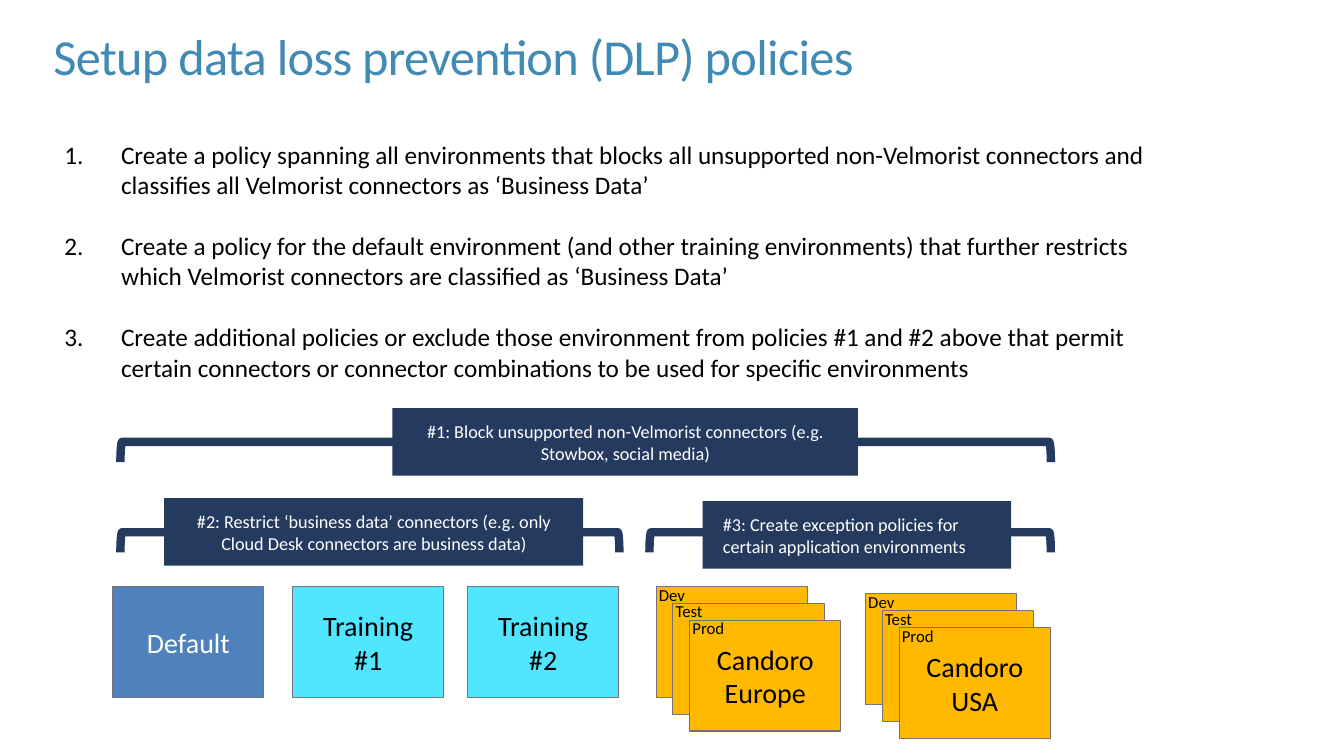
from dataclasses import dataclass

import pptx
import pptx.dml.color
import pptx.enum.shapes
import pptx.enum.text
import pptx.oxml
import pptx.oxml.ns
import pptx.shapes.autoshape
import pptx.slide
import pptx.text.text
import pptx.util

Pt = pptx.util.Pt
RGBColor = pptx.dml.color.RGBColor
Shapes = pptx.enum.shapes.MSO_SHAPE
Align = pptx.enum.text.PP_ALIGN
Anchor = pptx.enum.text.MSO_ANCHOR

FONT = "Calibri"
BLACK = RGBColor(0x00, 0x00, 0x00)
WHITE = RGBColor(0xFF, 0xFF, 0xFF)
TITLE_BLUE = RGBColor(0x41, 0x8A, 0xB3)
NAVY = RGBColor(0x24, 0x3A, 0x5E)
BLUE = RGBColor(0x4F, 0x81, 0xBD)
CYAN = RGBColor(0x50, 0xE6, 0xFF)
AMBER = RGBColor(0xFF, 0xB9, 0x00)
GRAY = RGBColor(0x73, 0x73, 0x73)

CARD_WIDTH, CARD_HEIGHT, CARD_TOP = 108, 79.2, 419
STACK_STEP = 12
STAGES = ("Dev", "Test", "Prod")
LABEL_SHIFT = 5.2
BRACKET_DEPTH = 14.4
POLICY_HEIGHT = 48.2
INDENT = 40.5


@dataclass(frozen=True)
class Environment:
    name: str
    left: float
    fill: RGBColor
    color: RGBColor


@dataclass(frozen=True)
class Stack:
    name: str
    left: float
    top: float


@dataclass(frozen=True)
class Policy:
    text: str
    left: float
    top: float
    width: float
    bracket_left: float
    bracket_top: float
    bracket_width: float
    alignment: Align = Align.CENTER


STEPS = (
    "Create a policy spanning all environments that blocks all unsupported non-Velmorist "
    "connectors and classifies all Velmorist connectors as ‘Business Data’",
    "Create a policy for the default environment (and other training environments) that "
    "further restricts which Velmorist connectors are classified as ‘Business Data’",
    "Create additional policies or exclude those environment from policies #1 and #2 above "
    "that permit certain connectors or connector combinations to be used for specific environments",
)
ENVIRONMENTS = (
    Environment("Default", 80.6, BLUE, WHITE),
    Environment("Training #1", 209, CYAN, BLACK),
    Environment("Training #2", 334, CYAN, BLACK),
)
STACKS = (
    Stack("Candoro Europe", 468.7, CARD_TOP),
    Stack("Candoro USA", 618.3, 424.3),
)
POLICIES = (
    Policy("#1: Block unsupported non-Velmorist connectors (e.g. Stowbox, social media)",
           280.3, 291.6, 332.6, 86, 315.7, 664.6),
    Policy("#2: Restrict ‘business data’ connectors (e.g. only Cloud Desk connectors "
           "are business data)",
           117.3, 355.8, 299.3, 86, 380.2, 356.4),
    Policy("#3: Create exception policies for certain application environments",
           502, 358, 220.3, 463.9, 380.2, 286.7, Align.LEFT),
)


def format_paragraph(paragraph: pptx.text.text._Paragraph, size: float, color: RGBColor,
                     alignment: Align = Align.LEFT) -> None:
    paragraph.alignment = alignment
    paragraph.font.name = FONT
    paragraph.font.size = Pt(size)
    paragraph.font.color.rgb = color


def clear_margins(frame: pptx.text.text.TextFrame) -> None:
    frame.margin_left = frame.margin_right = frame.margin_top = frame.margin_bottom = 0


def add_title(slide: pptx.slide.Slide) -> None:
    title = slide.shapes.title
    title.left, title.top, title.width, title.height = Pt(38.2), Pt(18), Pt(889), Pt(44)
    frame = title.text_frame
    frame.text = "Setup data loss prevention (DLP) policies"
    frame.vertical_anchor = Anchor.TOP
    frame.auto_size = pptx.enum.text.MSO_AUTO_SIZE.NONE
    clear_margins(frame)
    paragraph = frame.paragraphs[0]
    format_paragraph(paragraph, 36, TITLE_BLUE)
    paragraph.runs[0].font._element.set("spc", "-50")


def add_steps(slide: pptx.slide.Slide) -> None:
    frame = slide.shapes.add_textbox(Pt(46), Pt(99.4), Pt(776), Pt(174)).text_frame
    frame.word_wrap = True
    clear_margins(frame)
    for index, step in enumerate(STEPS):
        paragraph = frame.paragraphs[0] if index == 0 else frame.add_paragraph()
        paragraph.text = step
        if index:
            paragraph.space_before = Pt(22)
        properties = paragraph._p.get_or_add_pPr()
        properties.set("marL", str(Pt(INDENT)))
        properties.set("indent", str(-Pt(INDENT)))
        number = pptx.oxml.parse_xml(
            f'<a:buAutoNum {pptx.oxml.ns.nsdecls("a")} type="arabicPeriod"/>')
        properties.append(number)
        format_paragraph(paragraph, 18, BLACK)


def add_box(slide: pptx.slide.Slide, left: float, top: float, width: float, height: float,
            fill: RGBColor, outline: RGBColor | None = None) -> pptx.shapes.autoshape.Shape:
    box = slide.shapes.add_shape(Shapes.RECTANGLE, Pt(left), Pt(top), Pt(width), Pt(height))
    box.shadow.inherit = False
    box.fill.solid()
    box.fill.fore_color.rgb = fill
    if outline is None:
        box.line.fill.background()
    else:
        box.line.color.rgb = outline
        box.line.width = Pt(0.75)
    return box


def write_in_box(box: pptx.shapes.autoshape.Shape, text: str, size: float, color: RGBColor,
                 alignment: Align = Align.CENTER) -> None:
    frame = box.text_frame
    frame.word_wrap = True
    frame.vertical_anchor = Anchor.MIDDLE
    frame.margin_left = frame.margin_right = Pt(14.4)
    frame.margin_top = frame.margin_bottom = Pt(11.5)
    frame.text = text
    format_paragraph(frame.paragraphs[0], size, color, alignment)


def add_card(slide: pptx.slide.Slide, left: float, top: float,
             fill: RGBColor) -> pptx.shapes.autoshape.Shape:
    return add_box(slide, left, top, CARD_WIDTH, CARD_HEIGHT, fill, GRAY)


def add_stack(slide: pptx.slide.Slide, stack: Stack) -> None:
    """Draw one card per stage, then the stage labels above them."""
    corners = [(stack.left + step * STACK_STEP, stack.top + step * STACK_STEP)
               for step in range(len(STAGES))]
    cards = [add_card(slide, left, top, AMBER) for left, top in corners]
    write_in_box(cards[-1], stack.name, 20, BLACK)
    for stage, (left, top) in zip(STAGES, corners):
        label = slide.shapes.add_textbox(Pt(left - LABEL_SHIFT), Pt(top - LABEL_SHIFT),
                                         Pt(CARD_WIDTH), Pt(CARD_HEIGHT))
        label.text_frame.word_wrap = True
        label.text_frame.text = stage
        format_paragraph(label.text_frame.paragraphs[0], 12, BLACK)


def add_policy(slide: pptx.slide.Slide, policy: Policy) -> None:
    """Draw a left bracket turned to open downwards, with the policy box on it."""
    turn_shift = (policy.bracket_width - BRACKET_DEPTH) / 2
    bracket = slide.shapes.add_shape(
        Shapes.LEFT_BRACKET, Pt(policy.bracket_left + turn_shift),
        Pt(policy.bracket_top - turn_shift), Pt(BRACKET_DEPTH), Pt(policy.bracket_width))
    bracket.rotation = 90
    bracket.shadow.inherit = False
    bracket.fill.background()
    bracket.line.color.rgb = NAVY
    bracket.line.width = Pt(6)
    box = add_box(slide, policy.left, policy.top, policy.width, POLICY_HEIGHT, NAVY)
    write_in_box(box, policy.text, 13, WHITE, policy.alignment)


def main() -> None:
    presentation = pptx.Presentation()
    presentation.slide_width, presentation.slide_height = Pt(960), Pt(540)
    slide = presentation.slides.add_slide(presentation.slide_layouts.get_by_name("Title Only"))
    add_title(slide)
    add_steps(slide)
    for environment in ENVIRONMENTS:
        card = add_card(slide, environment.left, CARD_TOP, environment.fill)
        write_in_box(card, environment.name, 20, environment.color)
    for stack in STACKS:
        add_stack(slide, stack)
    for policy in POLICIES:
        add_policy(slide, policy)
    presentation.save("out.pptx")


if __name__ == "__main__":
    main()
